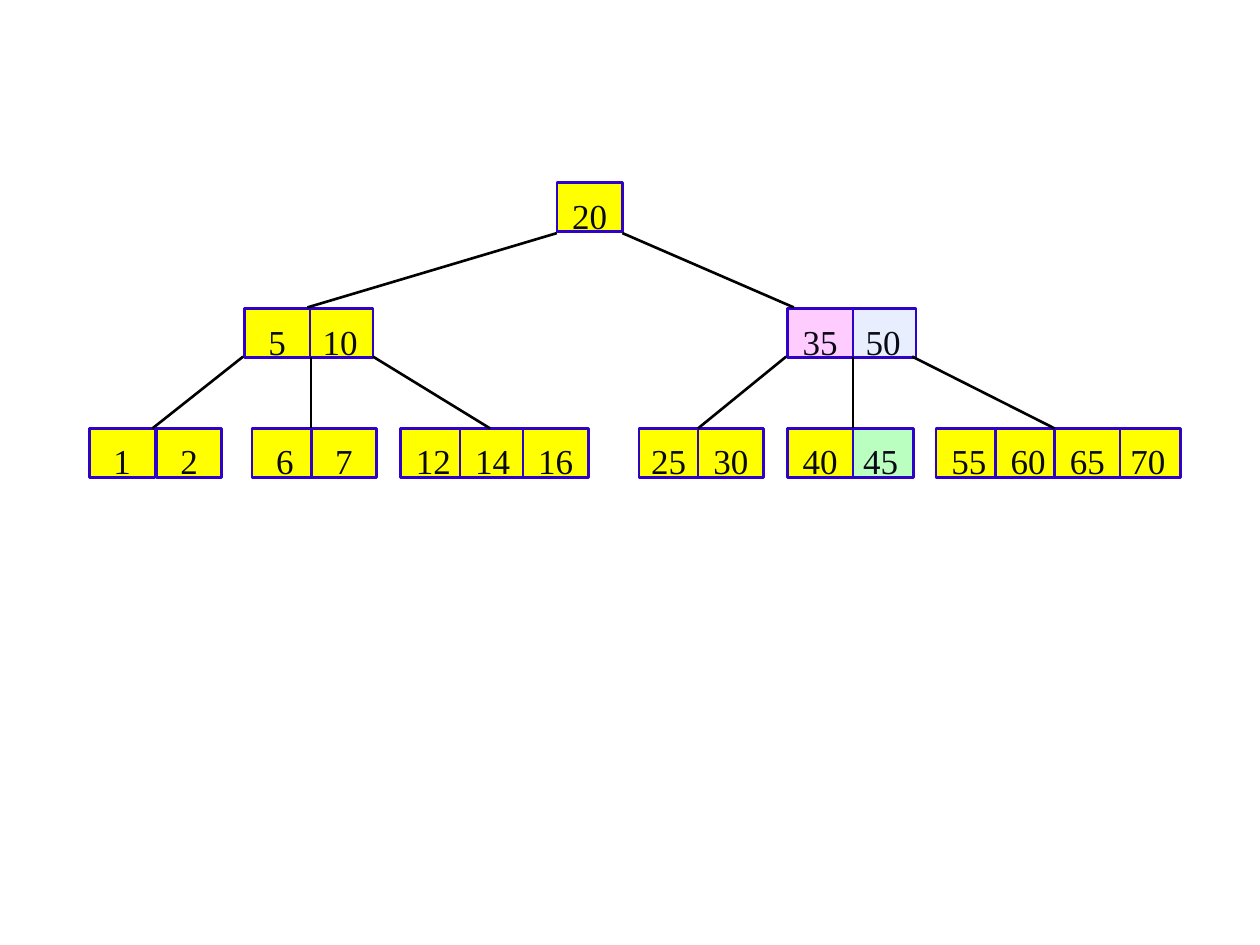
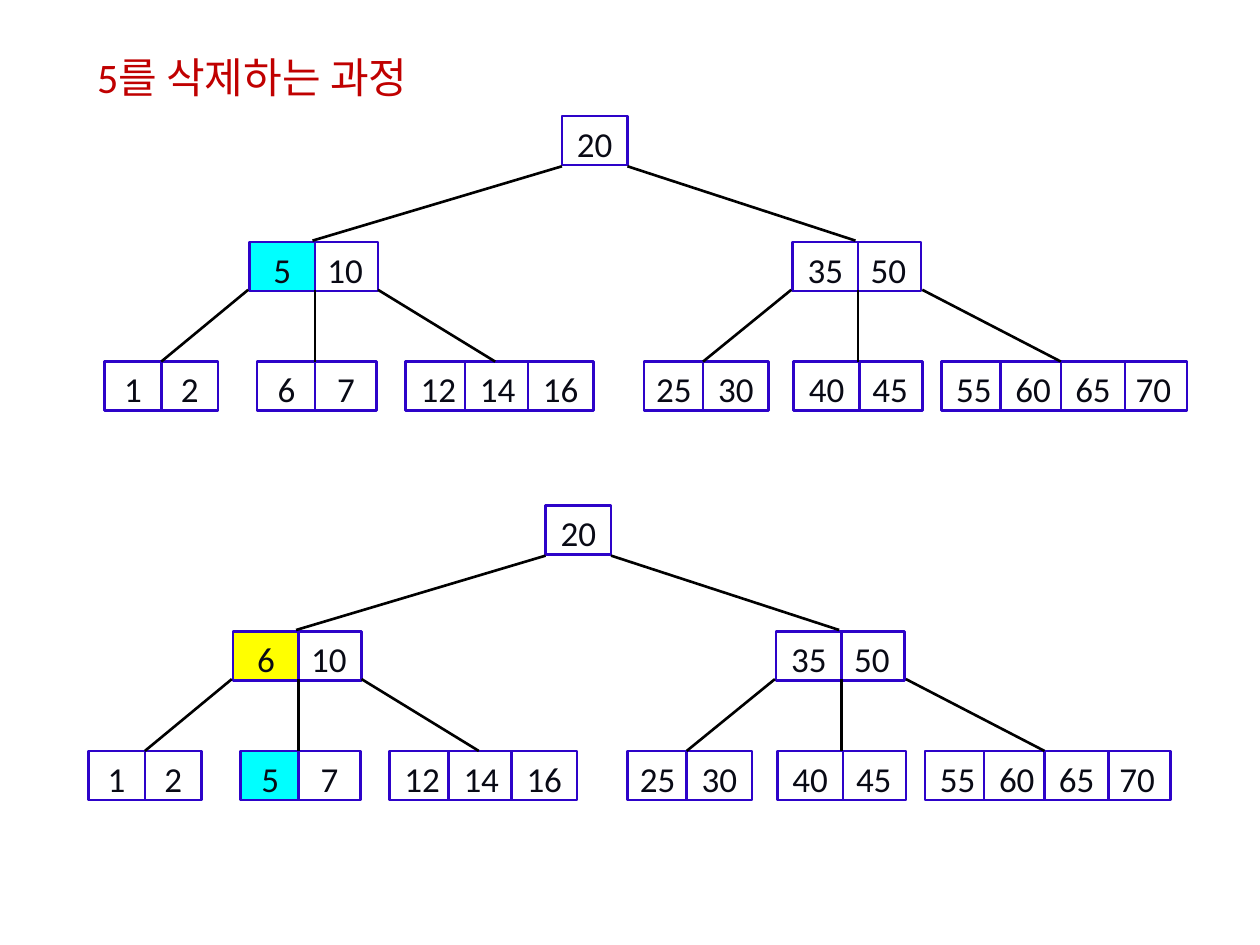
from pptx import Presentation
from pptx.dml.color import RGBColor
from pptx.enum.shapes import MSO_CONNECTOR, MSO_SHAPE
from pptx.enum.text import MSO_ANCHOR, MSO_AUTO_SIZE, PP_ALIGN
from pptx.oxml import parse_xml
from pptx.oxml.ns import nsdecls
from pptx.util import Inches, Pt

RECT = MSO_SHAPE.RECTANGLE
STRAIGHT = MSO_CONNECTOR.STRAIGHT
LEFT, CENTER = PP_ALIGN.LEFT, PP_ALIGN.CENTER
TOP, MIDDLE = MSO_ANCHOR.TOP, MSO_ANCHOR.MIDDLE
NO_FIT = MSO_AUTO_SIZE.NONE

COLORS = {
    "edge": "2D03C9", "ink": "090A15", "link": "000000", "title": "C00000",
    "white": "FFFFFF", "yellow": "FFFF00", "aqua": "00FFFF",
    "green": "BAFEC0", "pink": "FFCCFF", "pale": "E8EEFE",
}
CELL_W, CELL_H = 0.52, 0.39
LINE_W = 1.5
LEVEL_TOPS = (0, 1.0, 1.95)

# Left side of each cell, level by level; later cells lie over earlier ones.
LEVELS = (
    {"20": 4.42},
    {"10": 2.44, "5": 1.94, "50": 6.75, "35": 6.25},
    {"1": 0.71, "2": 1.24, "6": 2.0, "7": 2.47,
     "12": 3.18, "14": 3.65, "16": 4.15, "25": 5.07, "30": 5.54,
     "45": 6.73, "40": 6.25, "55": 7.43, "70": 8.85, "60": 7.9, "65": 8.37},
)
# Left and width of the cells that differ in the narrow trees.
NARROW = {"1": (0.79, 0.45), "2": (1.24, 0.45), "6": (2.0, 0.47),
          "7": (2.46, 0.49), "40": (6.26, CELL_W), "45": (6.77, 0.51),
          "65": (8.38, 0.51), "70": (8.85, 0.53)}

# Child node: start x, end x
ROOT_LINKS = {"5": (4.42, 2.44), "35": (4.94, 6.3)}
LEAF_LINKS = {"1": (1.93, 1.21), "6": (2.47, 2.47), "12": (2.96, 3.89),
              "25": (6.24, 5.54), "40": (6.77, 6.77), "55": (7.24, 8.37)}
NARROW_LINKS = {"35": (4.94, 6.75), "1": (1.93, 1.24), "6": (2.46, 2.46),
                "55": (7.28, 8.38)}


def color(name):
    return RGBColor.from_string(COLORS[name])


def write(shape, text, font="Calibri", size=20, ink="ink", align=CENTER,
          anchor=TOP, inset=0.05, wrap=True):
    frame = shape.text_frame
    frame.auto_size = NO_FIT
    frame.word_wrap = wrap
    frame.vertical_anchor = anchor
    frame.margin_top = Inches(inset)
    para = frame.paragraphs[0]
    para.alignment = align
    run = para.add_run()
    run.text = text
    run.font.name = font
    run.font.size = Pt(size)
    run.font.color.rgb = color(ink)


def add_cell(slide, left, top, width, text, fill, **style):
    cell = slide.shapes.add_shape(
        RECT, Inches(left), Inches(top), Inches(width), Inches(CELL_H))
    cell.shadow.inherit = False
    cell.fill.solid()
    cell.fill.fore_color.rgb = color(fill)
    cell.line.color.rgb = color("edge")
    cell.line.width = Pt(LINE_W)
    write(cell, text, **style)


def add_link(slide, start, end):
    link = slide.shapes.add_connector(
        STRAIGHT, *(Inches(value) for value in start + end))
    link.line.color.rgb = color("link")
    link.line.width = Pt(LINE_W)
    link._element.spPr.append(parse_xml(f"<a:effectLst {nsdecls('a')}/>"))


def add_tree(slide, shift, top, fill="white", marks=None, swap=None,
             narrow=True, **style):
    """Draw the tree; marks gives fills by label, swap exchanges labels."""
    marks, swap = marks or {}, swap or {}
    sizes = NARROW if narrow else {}
    moved = NARROW_LINKS if narrow else {}
    for level, drop in zip(LEVELS, LEVEL_TOPS):
        for key, left in level.items():
            left, width = sizes.get(key, (left, CELL_W))
            label = swap.get(key, key)
            add_cell(slide, left + shift, top + drop, width, label,
                     marks.get(label, fill),
                     align=LEFT if key == "25" else CENTER, **style)
    for links, start_y, end_y in ((ROOT_LINKS, 0.4, 0.99),
                                  (LEAF_LINKS, 1.38, 1.95)):
        for key, ends in links.items():
            start_x, end_x = moved.get(key, ends)
            add_link(slide, (start_x + shift, top + start_y),
                     (end_x + shift, top + end_y))


def add_title(slide, text):
    title = slide.shapes.title
    title.left, title.top = Inches(0.67), Inches(0.36)
    title.width, title.height = Inches(2.88), Inches(0.5)
    write(title, text, size=24, ink="title", align=LEFT, anchor=MIDDLE,
          wrap=False)


def main():
    deck = Presentation()
    deck.slide_width, deck.slide_height = Inches(10), Inches(7.5)
    title_only, blank = deck.slide_layouts[5], deck.slide_layouts[6]

    slide = deck.slides.add_slide(blank)
    add_tree(slide, 0, 1.45, fill="yellow", narrow=False,
             marks={"35": "pink", "50": "pale", "45": "green"},
             font="Times New Roman", inset=0.09)

    slide = deck.slides.add_slide(title_only)
    add_title(slide, "5를 삭제하는 과정")
    add_tree(slide, 0.04, 0.92, marks={"5": "aqua"})
    add_tree(slide, -0.09, 4.01, marks={"5": "aqua", "6": "yellow"},
             swap={"5": "6", "6": "5"})

    deck.save("out.pptx")


if __name__ == "__main__":
    main()
